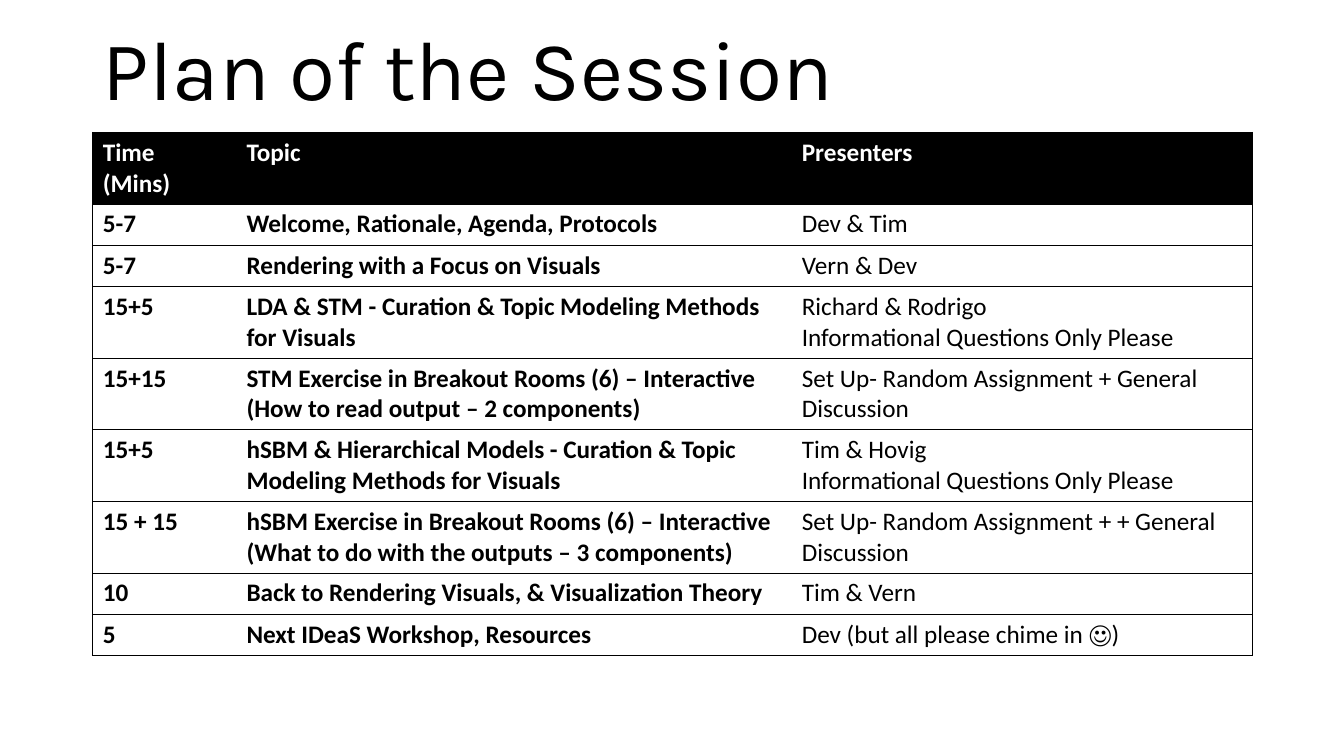
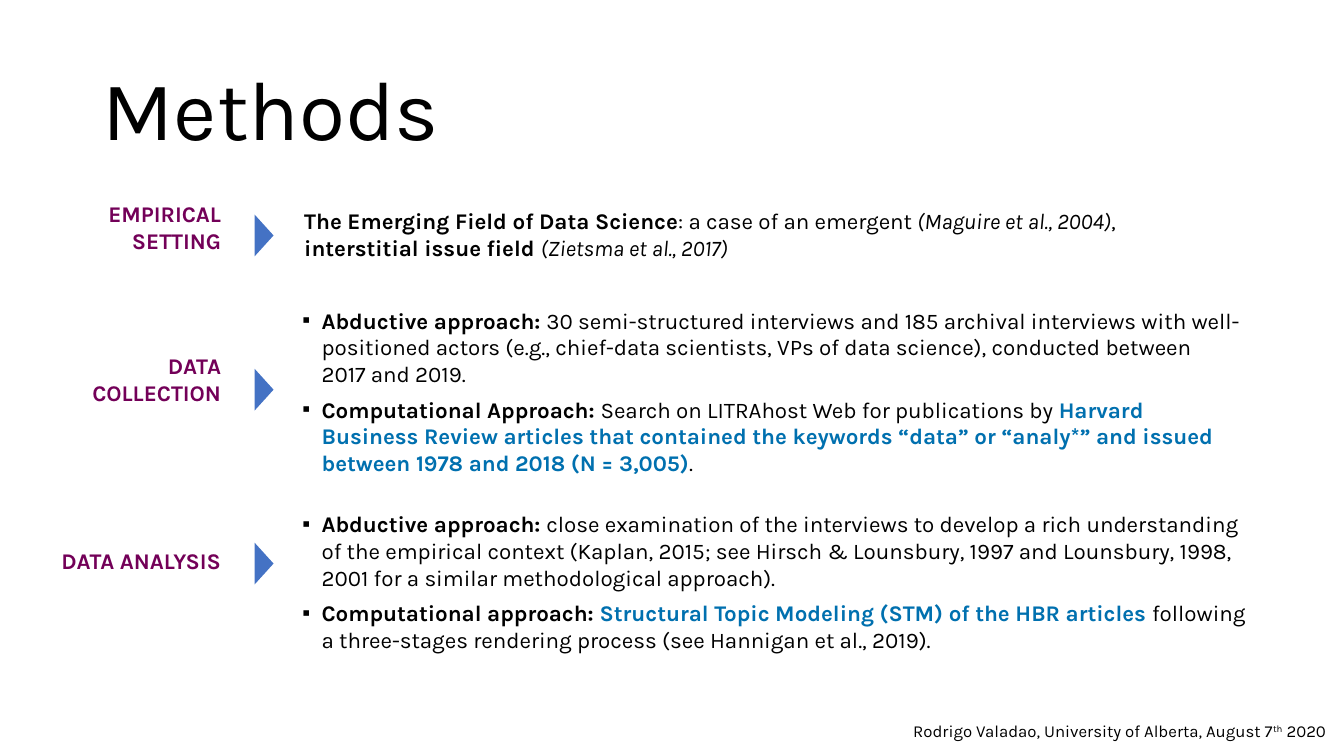
import pptx
import pptx.util
import pptx.dml.color
import pptx.enum.text
import pptx.enum.shapes
import pptx.oxml
import pptx.oxml.ns

WIDE = pptx.util.Inches(13.33)
HIGH = pptx.util.Inches(7.5)
HUES = {"ink": "000000", "paper": "FFFFFF", "plum": "730058",
        "blue": "0070AF", "arrow": "4472C4"}
LEFT, SPAN = 6.9, 86.25
ALIGN = pptx.enum.text.PP_ALIGN
ANCHOR = pptx.enum.text.MSO_ANCHOR
SIZE = pptx.enum.text.MSO_AUTO_SIZE
SPACE = pptx.oxml.ns.nsdecls("a")

TITLE = {"name": "Karla", "size": pptx.util.Pt(60), "bold": False}
BODY = {"name": "Karla", "size": pptx.util.Pt(16), "bold": False, "italic": False}
LABEL = {**BODY, "bold": True}
NOTE = {**BODY, "size": pptx.util.Pt(12)}
CELL = {"name": "Calibri", "size": pptx.util.Pt(18)}
BOLD = {"bold": True}
SLANT = {"italic": True}
KEY = {"bold": True, "hue": "blue"}
RAISED = {"base": 30000}

PLAN = [
    ("Time (Mins)", "Topic", "Presenters"),
    ("5-7", "Welcome, Rationale, Agenda, Protocols", "Dev & Tim"),
    ("5-7", "Rendering with a Focus on Visuals", "Vern & Dev"),
    ("15+5", "LDA & STM - Curation & Topic Modeling Methods for Visuals",
     "Richard & Rodrigo\nInformational Questions Only Please"),
    ("15+15", "STM Exercise in Breakout Rooms (6) – Interactive\n"
     "(How to read output – 2 components)",
     "Set Up- Random Assignment + General Discussion"),
    ("15+5", "hSBM & Hierarchical Models - Curation & Topic Modeling Methods for Visuals",
     "Tim & Hovig\nInformational Questions Only Please"),
    ("15 + 15", "hSBM Exercise in Breakout Rooms (6) – Interactive\n"
     "(What to do with the outputs – 3 components)",
     "Set Up- Random Assignment + + General Discussion"),
    ("10", "Back to Rendering Visuals, & Visualization Theory", "Tim & Vern"),
    ("5", "Next IDeaS Workshop, Resources", "Dev (but all please chime in ☺)"),
]
SHARES = (12.4, 47.9, 39.7)

STEPS = [("EMPIRICAL SETTING", 25.9, 29.9),
         ("DATA COLLECTION", 46.1, 50.3),
         ("DATA ANALYSIS", 71.9, 73.3)]

SETTING = [[
    ("The Emerging Field of Data Science", BOLD),
    (": a case of an emergent", {}),
    (" (Maguire et al., 2004)", SLANT),
    (", ", {}),
    ("interstitial issue field ", BOLD),
    ("(Zietsma et al., 2017)", SLANT),
]]
SOURCES = [
    [("Abductive approach: ", BOLD),
     ("30 semi-structured interviews and 185 archival interviews with "
      "well-positioned actors (e.g., chief-data scientists, VPs of data "
      "science), conducted between 2017 and 2019.", {})],
    [("Computational Approach: ", BOLD),
     ("Search on LITRAhost Web for publications by ", {}),
     ("Harvard Business Review articles that contained the keywords “data” "
      "or “analy*” and issued between 1978 and 2018 (N = 3,005)", KEY),
     (".", {})],
]
STUDY = [
    [("Abductive approach: ", BOLD),
     ("close examination of the interviews to develop a rich understanding "
      "of the empirical context (Kaplan, 2015; see Hirsch & Lounsbury, 1997 "
      "and Lounsbury, 1998, 2001 for a similar methodological approach).", {})],
    [("Computational approach: ", BOLD),
     ("Structural Topic Modeling (STM) of the HBR articles ", KEY),
     ("following a three-stages rendering process (see Hannigan et al., 2019).", {})],
]
CREDIT = [[
    ("Rodrigo Valadao, University of Alberta, August 7", {}),
    ("th", RAISED),
    (" 2020", {}),
]]


def put(item, vals):
    for name, val in vals.items():
        setattr(item, name, val)


def color(hue):
    return pptx.dml.color.RGBColor.from_string(HUES[hue])


def area(x, y, w, h):
    return [int(WIDE * x / 100), int(HIGH * y / 100),
            int(WIDE * w / 100), int(HIGH * h / 100)]


def place(shape, spot):
    put(shape, dict(zip(("left", "top", "width", "height"), area(*spot))))


def style(run, form):
    form = dict(form)
    run.font.color.rgb = color(form.pop("hue", "ink"))
    base = form.pop("base", None)
    put(run.font, form)
    if base:
        run._r.get_or_add_rPr().set("baseline", str(base))


def bullet(para):
    props = para._p.get_or_add_pPr()
    inset = pptx.util.Inches(0.19)
    props.set("marL", str(inset))
    props.set("indent", str(-inset))
    for xml in (f'<a:buClr {SPACE}><a:srgbClr val="{HUES["ink"]}"/></a:buClr>',
                f'<a:buFont {SPACE} typeface="Arial"/>',
                f'<a:buChar {SPACE} char="▪"/>'):
        props.append(pptx.oxml.parse_xml(xml))


def write(frame, paras, form, align=ALIGN.LEFT, marks=False):
    put(frame, {"word_wrap": True, "auto_size": SIZE.NONE})
    for num, spans in enumerate(paras):
        para = frame.add_paragraph() if num else frame.paragraphs[0]
        if marks:
            bullet(para)
        put(para, {"alignment": align, "line_spacing": 1.0,
                   "space_before": pptx.util.Pt(6 if num else 0)})
        for text, extra in spans:
            run = para.add_run()
            run.text = text
            style(run, {**form, **extra})


def head(slide, text, top, tall):
    title = slide.shapes.title
    place(title, (LEFT, top, SPAN, tall))
    write(title.text_frame, [[(text, {})]], TITLE)
    title.text_frame.vertical_anchor = ANCHOR.MIDDLE
    title.text_frame.paragraphs[0].line_spacing = 0.9


def note(slide, spot, paras, form, align=ALIGN.LEFT):
    frame = slide.shapes.add_textbox(*area(*spot)).text_frame
    write(frame, paras, form, align)
    return frame


def points(slide, slot, spot, paras):
    body = slide.placeholders[slot]
    place(body, spot)
    write(body.text_frame, paras, BODY, marks=True)


def label(slide, text, top):
    frame = note(slide, (3.1, top, 13.65, 6.9), [[(text, {"hue": "plum"})]],
                 LABEL, ALIGN.RIGHT)
    sides = ("margin_left", "margin_top", "margin_right", "margin_bottom")
    put(frame, dict.fromkeys(sides, pptx.util.Inches(0.04)))


def arrow(slide, top):
    kind = pptx.enum.shapes.MSO_SHAPE.ISOSCELES_TRIANGLE
    shape = slide.shapes.add_shape(kind, *area(18.1, top, 3.1, 2.5))
    shape.rotation = 90
    shape.shadow.inherit = False
    shape.fill.solid()
    shape.fill.fore_color.rgb = color("arrow")
    shape.line.fill.background()


def border(cell, shown):
    props = cell._tc.get_or_add_tcPr()
    for side in "LRTB":
        fill = (f'<a:solidFill><a:srgbClr val="{HUES["ink"]}"/></a:solidFill>'
                if side in shown else "<a:noFill/>")
        props.append(pptx.oxml.parse_xml(
            f'<a:ln{side} {SPACE} w="6350">{fill}</a:ln{side}>'))


def grid(slide, rows, shares, top):
    tall = 5.45
    spot = area(LEFT, top, SPAN, tall * len(rows))
    table = slide.shapes.add_table(len(rows), len(shares), *spot).table
    for col, share in zip(table.columns, shares):
        col.width = int(spot[2] * share / 100)
    last = len(shares) - 1
    for y, row in enumerate(rows):
        for x, text in enumerate(row):
            cell = table.cell(y, x)
            border(cell, "TB" + "L" * (x == 0) + "R" * (x == last))
            cell.fill.solid()
            cell.fill.fore_color.rgb = color("paper" if y else "ink")
            cell.text = text
            form = {**CELL, "bold": y == 0 or x < last,
                    "hue": "ink" if y else "paper"}
            for para in cell.text_frame.paragraphs:
                for run in para.runs:
                    style(run, form)


def main():
    deck = pptx.Presentation()
    put(deck, {"slide_width": WIDE, "slide_height": HIGH})

    plan = deck.slides.add_slide(deck.slide_layouts.get_by_name("Title Only"))
    head(plan, "Plan of the Session", 2.9, 13.5)
    grid(plan, PLAN, SHARES, 17.5)

    work = deck.slides.add_slide(deck.slide_layouts.get_by_name("Two Content"))
    head(work, "Methods", 5.3, 19.3)
    for text, top, tip in STEPS:
        label(work, text, top)
        arrow(work, tip)
    note(work, (21.9, 26.8, 67.4, 8.5), SETTING, BODY)
    points(work, 1, (21.75, 39.9, 71.3, 24), SOURCES)
    points(work, 2, (21.75, 66.8, 72.45, 20.4), STUDY)
    note(work, (55.65, 94.7, 43.75, 4), CREDIT, NOTE, ALIGN.RIGHT)

    deck.save("out.pptx")


if __name__ == "__main__":
    main()
